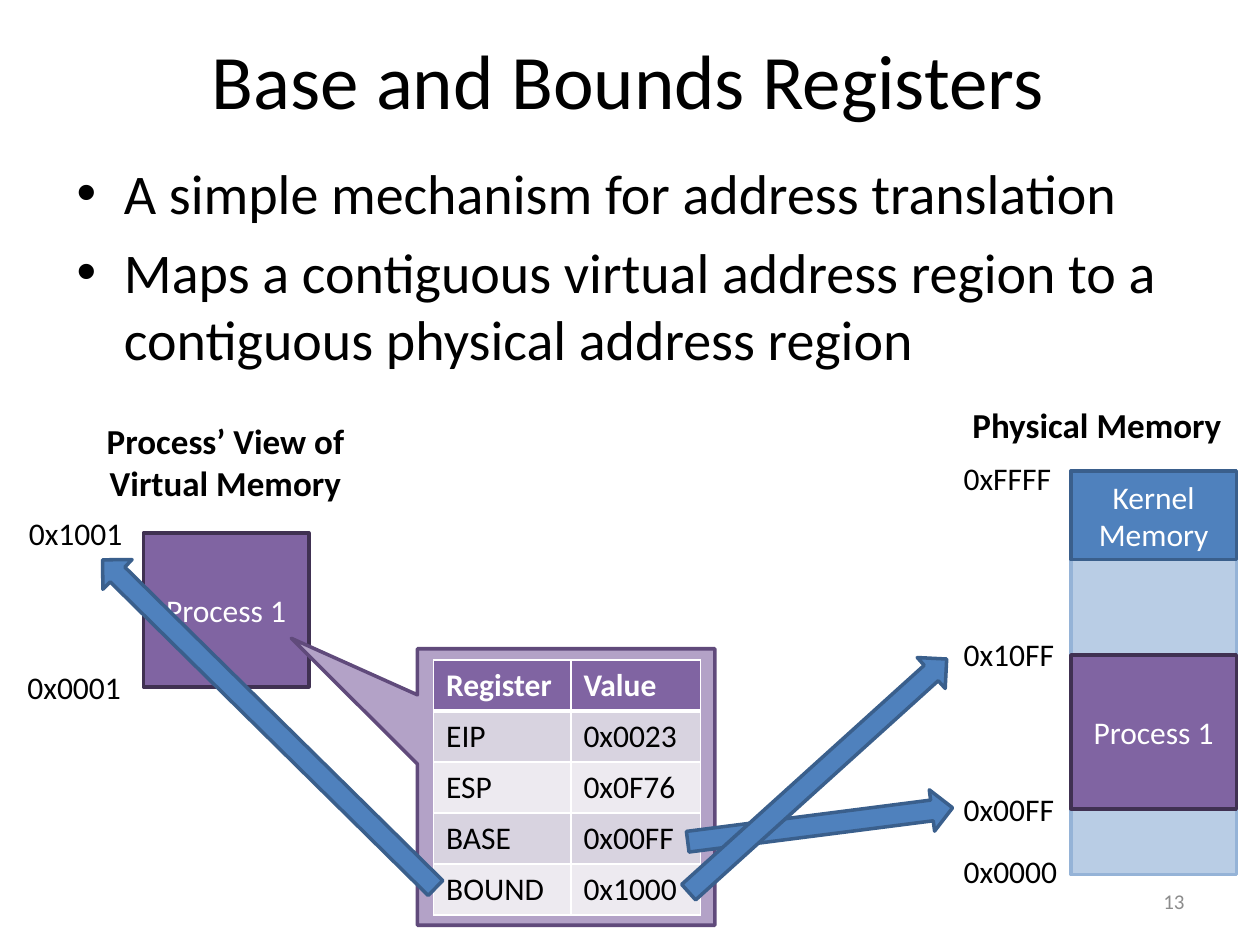
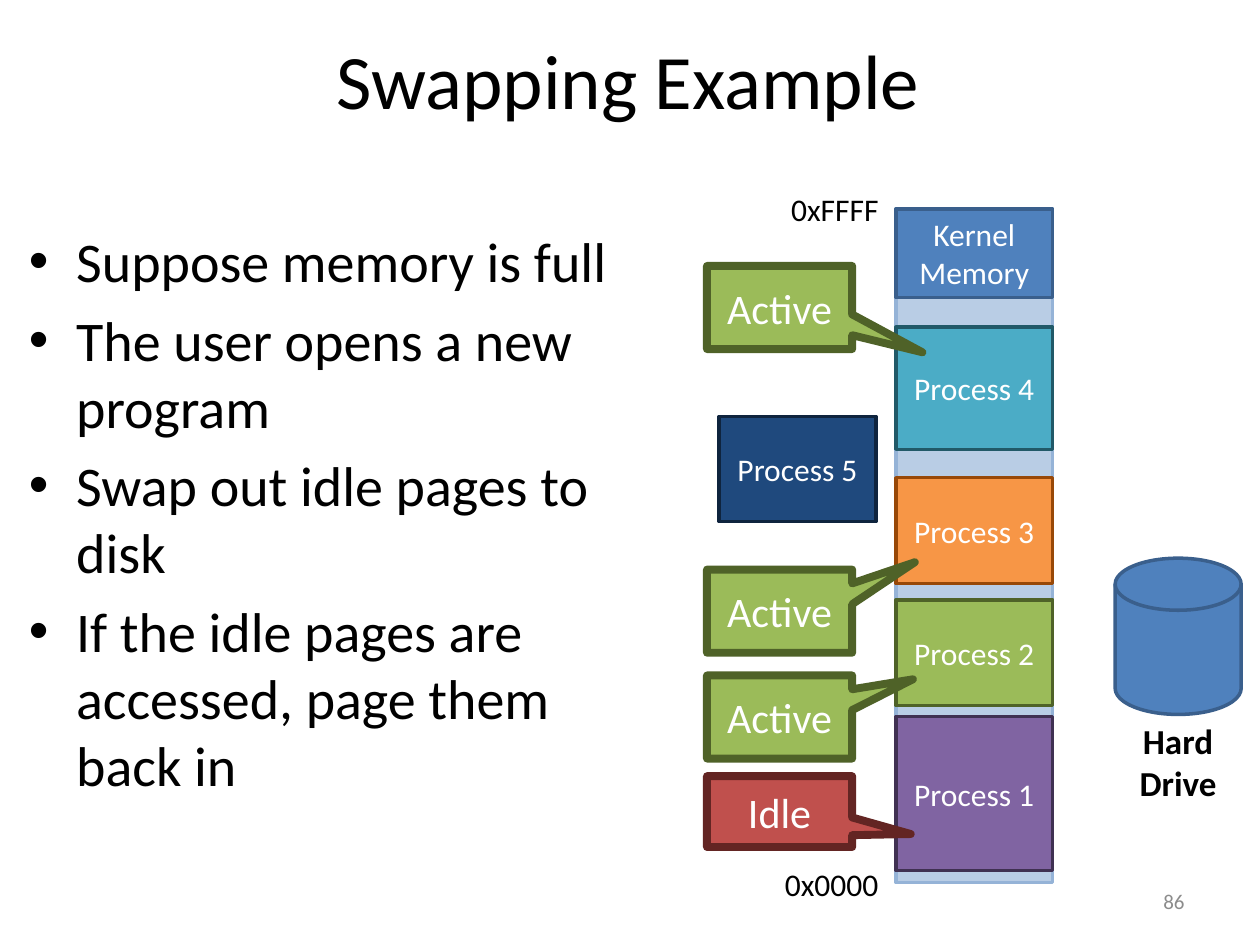
from lxml.etree import SubElement
from pptx import Presentation
from pptx.dml.color import RGBColor
from pptx.enum.shapes import MSO_SHAPE
from pptx.enum.text import MSO_ANCHOR, PP_ALIGN
from pptx.oxml.ns import qn
from pptx.util import Pt

BLACK = RGBColor(0x00, 0x00, 0x00)
WHITE = RGBColor(0xFF, 0xFF, 0xFF)
GRAY = RGBColor(0x8C, 0x8C, 0x8C)
LILAC_DARK = RGBColor(0xD8, 0xD3, 0xE0)
LILAC_LIGHT = RGBColor(0xED, 0xEA, 0xF0)

# Fill and outline pairs
FREE = (RGBColor(0xB9, 0xCD, 0xE5), RGBColor(0x95, 0xB3, 0xD7))
BLUE = (RGBColor(0x4F, 0x81, 0xBD), RGBColor(0x3A, 0x5F, 0x8C))
PURPLE = (RGBColor(0x80, 0x64, 0xA2), RGBColor(0x40, 0x31, 0x52))
LAVENDER = (RGBColor(0xB3, 0xA2, 0xC7), RGBColor(0x60, 0x4A, 0x7B))
GREEN = (RGBColor(0x9B, 0xBB, 0x59), RGBColor(0x4F, 0x62, 0x28))
ORANGE = (RGBColor(0xF7, 0x96, 0x46), RGBColor(0x98, 0x48, 0x07))
TEAL = (RGBColor(0x4B, 0xAC, 0xC6), RGBColor(0x21, 0x59, 0x68))
NAVY = (RGBColor(0x1F, 0x49, 0x7D), RGBColor(0x0F, 0x24, 0x3E))
RED = (RGBColor(0xC0, 0x50, 0x4D), RGBColor(0x63, 0x25, 0x23))

# Font formats
TITLE = {"name": "Calibri", "size": Pt(44), "bold": False}
BODY = {**TITLE, "size": Pt(32)}
CALLOUT = {**TITLE, "size": Pt(24)}
HEADING = {**TITLE, "size": Pt(20), "bold": True}
LABEL = {**TITLE, "size": Pt(18)}
TABLE_HEAD = {**LABEL, "bold": True}
NUMBER = {**TITLE, "size": Pt(12)}


def write(frame, text, font, color=BLACK, align=PP_ALIGN.LEFT,
          anchor=MSO_ANCHOR.TOP, wrap=True):
    """Fill a text frame, one paragraph per line of text."""
    frame.word_wrap = wrap
    frame.vertical_anchor = anchor
    for index, line in enumerate(text.split("\n")):
        para = frame.paragraphs[0] if index == 0 else frame.add_paragraph()
        para.alignment = align
        span = para.add_run()
        span.text = line
        for name, value in font.items():
            setattr(span.font, name, value)
        span.font.color.rgb = color


def add_box(page, kind, place, colors, text="", font=LABEL, weight=2):
    """Add a filled, outlined shape with centred white text."""
    box = page.shapes.add_shape(kind, *map(Pt, place))
    box.shadow.inherit = False
    box.fill.solid()
    box.fill.fore_color.rgb, box.line.color.rgb = colors
    box.line.width = Pt(weight)
    if text:
        write(box.text_frame, text, font, WHITE, PP_ALIGN.CENTER, MSO_ANCHOR.MIDDLE)
    return box


deck = Presentation()
deck.slide_width, deck.slide_height = Pt(720), Pt(540)

# Title, bullets and page number
contents = [
    ("Base and Bounds Registers", "13", (36.7, 87.1, 648, 136.1),
     "A simple mechanism for address translation\n"
     "Maps a contiguous virtual address region to a contiguous physical address region"),
    ("Swapping Example", "86", (9.4, 126, 373.7, 356.4),
     "Suppose memory is full\nThe user opens a new program\n"
     "Swap out idle pages to disk\n"
     "If the idle pages are accessed, page them back in"),
]
for heading, number, place, bullets in contents:
    page = deck.slides.add_slide(deck.slide_layouts[5])
    title = page.shapes.title
    title.left, title.top, title.width, title.height = map(Pt, (3.6, 0, 710.6, 90))
    write(title.text_frame, heading, TITLE, BLACK, PP_ALIGN.CENTER, MSO_ANCHOR.MIDDLE)

    body = page.shapes.add_textbox(*map(Pt, place))
    write(body.text_frame, bullets, BODY)
    for para in body.text_frame.paragraphs:
        para.space_before = Pt(6.4)
        properties = para._p.get_or_add_pPr()
        properties.set("marL", str(Pt(27)))
        properties.set("indent", str(Pt(-27)))
        SubElement(properties, qn("a:buFont"), typeface="Arial")
        SubElement(properties, qn("a:buChar"), char="•")

    footer = page.shapes.add_textbox(*map(Pt, (516, 500.5, 168, 28.75)))
    write(footer.text_frame, number, NUMBER, GRAY, PP_ALIGN.RIGHT, MSO_ANCHOR.MIDDLE)

registers_page, swapping_page = deck.slides

# Addresses and headings around the diagrams
labels = [
    (registers_page, "0x0000", LABEL, (543.6, 483.3, 68.3, 29)),
    (registers_page, "0xFFFF", LABEL, (543.6, 258.7, 64.8, 29)),
    (registers_page, "0x00FF", LABEL, (543.6, 447.9, 67, 29)),
    (registers_page, "0x10FF", LABEL, (543.6, 359.5, 67, 29)),
    (registers_page, "0x0001", LABEL, (8.6, 378.3, 68.3, 29)),
    (registers_page, "0x1001", LABEL, (9.4, 289.9, 68.3, 29)),
    (registers_page, "Physical Memory", HEADING, (548.6, 227, 158.4, 31.5)),
    (registers_page, "Process’ View of\nVirtual Memory", HEADING, (53.3, 236.2, 151.2, 55.7)),
    (swapping_page, "0x0000", LABEL, (441.4, 490.6, 68.3, 29)),
    (swapping_page, "0xFFFF", LABEL, (445, 105.2, 64.8, 29)),
    (swapping_page, "Hard\nDrive", HEADING, (643.7, 407.5, 59, 55.7)),
]
for page, text, font, place in labels:
    label = page.shapes.add_textbox(*map(Pt, place))
    align = PP_ALIGN.CENTER if "\n" in text else PP_ALIGN.LEFT
    write(label.text_frame, text, font, align=align, wrap=False)

# Memory regions: page, left, width, top, height, colours, text
PHYSICAL = (registers_page, 612, 94.5)
VIRTUAL = (registers_page, 82, 94.5)
SWAPPED = (swapping_page, 512, 89.5)
WAITING = (swapping_page, 411, 89.5)
regions = [
    (PHYSICAL, 269.25, 230.5, FREE, ""),
    (PHYSICAL, 269.25, 50.5, BLUE, "Kernel Memory"),
    (PHYSICAL, 374.25, 88, PURPLE, "Process 1"),
    (VIRTUAL, 304.5, 88, PURPLE, "Process 1"),
    (SWAPPED, 119.5, 384.75, FREE, ""),
    (SWAPPED, 119.5, 50.5, BLUE, "Kernel Memory"),
    (SWAPPED, 409.5, 88, PURPLE, "Process 1"),
    (SWAPPED, 342.75, 60.5, GREEN, "Process 2"),
    (SWAPPED, 273, 60.5, ORANGE, "Process 3"),
    (SWAPPED, 187, 69.75, TEAL, "Process 4"),
    (WAITING, 238, 60, NAVY, "Process 5"),
]
for (page, left, width), top, height, colors, text in regions:
    add_box(page, MSO_SHAPE.RECTANGLE, (left, top, width, height), colors, text)

# Callouts, with the tip as a share of their size from the centre
callouts = [
    (registers_page, (238.5, 370.75, 170, 158), (-0.924, -0.538), LAVENDER, "", 2),
    (swapping_page, (404, 152, 83, 47.5), (0.984, 0.539), GREEN, "Active", 4.5),
    (swapping_page, (404, 325.5, 83, 47.5), (0.932, -0.589), GREEN, "Active", 4.5),
    (swapping_page, (404, 386, 83, 47.5), (0.919, -0.454), GREEN, "Active", 4.5),
    (swapping_page, (404, 443.5, 83, 40.5), (0.904, 0.317), RED, "Idle", 4.5),
]
for page, place, tip, colors, text, weight in callouts:
    callout = add_box(page, MSO_SHAPE.RECTANGULAR_CALLOUT, place, colors, text, CALLOUT, weight)
    callout.adjustments[0], callout.adjustments[1] = tip

# Register table
registers = [
    ("Register", "Value"),
    ("EIP", "0x0023"),
    ("ESP", "0x0F76"),
    ("BASE", "0x00FF"),
    ("BOUND", "0x1000"),
]
table = registers_page.shapes.add_table(
    len(registers), 2, *map(Pt, (247.75, 377, 152.5, 146))).table
table.columns[0].width, table.columns[1].width = Pt(78.5), Pt(74)
for row, values in enumerate(registers):
    table.rows[row].height = Pt(29.2)
    for column, value in enumerate(values):
        cell = table.cell(row, column)
        write(cell.text_frame, value, LABEL if row else TABLE_HEAD, BLACK if row else WHITE)
        heavy_side = {0: "lnB", 1: "lnT"}.get(row)
        for side in ("lnL", "lnR", "lnT", "lnB"):
            width = Pt(3 if side == heavy_side else 1)
            border = SubElement(cell._tc.get_or_add_tcPr(), qn(f"a:{side}"), w=str(width))
            SubElement(SubElement(border, qn("a:solidFill")), qn("a:srgbClr"), val=str(WHITE))
        cell.fill.solid()
        stripe = LILAC_DARK if row % 2 else LILAC_LIGHT
        cell.fill.fore_color.rgb = stripe if row else PURPLE[0]

# Arrows from the registers to the addresses they define
for left, top, length, angle in [
    (392.4, 459.4, 152.6, 352.7),
    (20.2, 401.8, 267.1, 224.6),
    (367.9, 431.3, 198.7, 317.9),
]:
    arrow = add_box(registers_page, MSO_SHAPE.RIGHT_ARROW, (left, top, length, 23.8), BLUE)
    arrow.rotation = angle

# Hard drive, stood upright
drive = add_box(swapping_page, MSO_SHAPE.FLOWCHART_DIRECT_ACCESS_STORAGE,
                (628.6, 327.6, 89.3, 72), BLUE)
drive.rotation = 270

deck.save("out.pptx")
